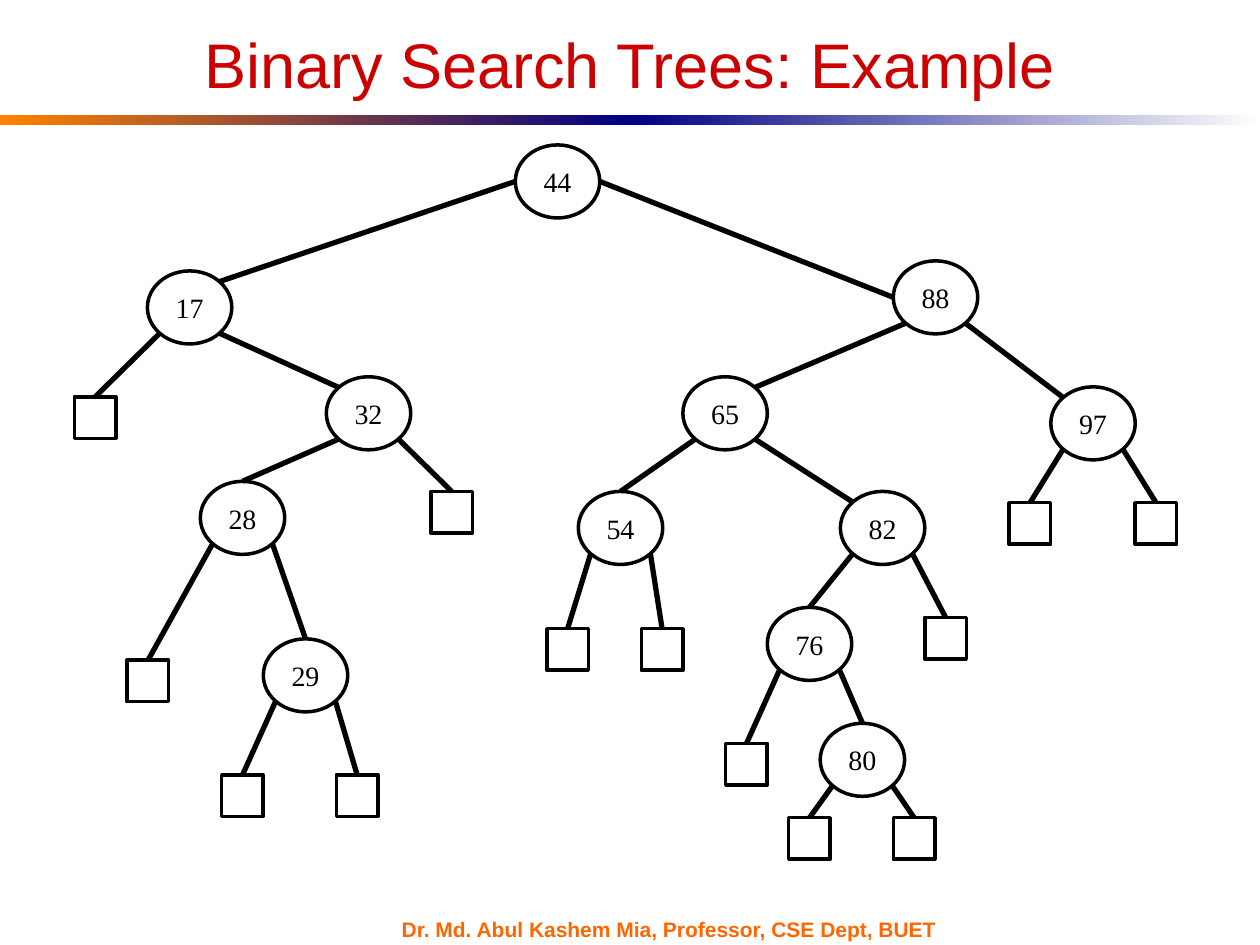
from pptx import Presentation
from pptx.dml.color import RGBColor
from pptx.enum.shapes import MSO_CONNECTOR, MSO_SHAPE
from pptx.enum.text import MSO_ANCHOR, MSO_AUTO_SIZE, PP_ALIGN
from pptx.oxml.ns import qn
from pptx.util import Inches, Pt
from lxml import etree

OVAL, RECT = MSO_SHAPE.OVAL, MSO_SHAPE.RECTANGLE
STRAIGHT = MSO_CONNECTOR.STRAIGHT
MIDDLE, NO_FIT = MSO_ANCHOR.MIDDLE, MSO_AUTO_SIZE.NONE
LEFT, CENTER = PP_ALIGN.LEFT, PP_ALIGN.CENTER

COLORS = {
    "title": "CC0000", "footer": "FF6600", "ink": "000000",
    "paper": "FFFFFF", "orange": "FF8200", "navy": "000082",
}
NODE_W, NODE_H, LEAF = 0.67, 0.58, 0.33
DIAGONAL = 0.5 ** 0.5

# Left and top of each key's node
NODES = {
    44: (4.09, 1.15), 17: (1.17, 2.15), 32: (2.59, 2.99), 28: (1.59, 3.82),
    29: (2.09, 5.07), 88: (7.09, 2.07), 65: (5.42, 2.99), 97: (8.34, 3.07),
    54: (4.59, 3.90), 82: (6.67, 3.90), 76: (6.09, 4.82), 80: (6.51, 5.74),
}
# Parent key, side of the parent, left and top of the empty leaf
LEAVES = [
    (17, "SW", 0.59, 3.15), (32, "SE", 3.42, 3.90), (28, "SW", 1.01, 5.24),
    (29, "SW", 1.76, 6.15), (29, "SE", 2.67, 6.15), (54, "SW", 4.34, 4.99),
    (54, "SE", 5.09, 4.99), (97, "SW", 8.01, 3.99), (97, "SE", 9.01, 3.99),
    (76, "SW", 5.76, 5.90), (82, "SE", 7.34, 4.90), (80, "SW", 6.26, 6.49),
    (80, "SE", 7.09, 6.49),
]
# Parent key, side of the parent, child key, side of the child
BRANCHES = [
    (44, "W", 17, "NE"), (44, "E", 88, "W"), (17, "SE", 32, "NW"),
    (32, "SW", 28, "N"), (28, "SE", 29, "N"), (88, "SW", 65, "NE"),
    (88, "SE", 97, "NW"), (65, "SW", 54, "N"), (65, "SE", 82, "NW"),
    (82, "SW", 76, "N"), (76, "SE", 80, "N"),
]


def color(name):
    return RGBColor.from_string(COLORS[name])


def write(shape, text, size, font, ink, align=CENTER, bold=False, wrap=True):
    frame = shape.text_frame
    frame.auto_size = NO_FIT
    frame.word_wrap = wrap
    frame.vertical_anchor = MIDDLE
    para = frame.paragraphs[0]
    para.alignment = align
    span = para.add_run()
    span.text = text
    span.font.size = Pt(size)
    span.font.name = font
    span.font.bold = bold
    span.font.color.rgb = color(ink)


def add_outlined(page, kind, left, top, width, height):
    shape = page.shapes.add_shape(
        kind, Inches(left), Inches(top), Inches(width), Inches(height))
    shape.shadow.inherit = False
    shape.fill.solid()
    shape.fill.fore_color.rgb = color("paper")
    shape.line.color.rgb = color("ink")
    shape.line.width = Pt(2)
    return shape


def add_band(page, left, start, end):
    band = page.shapes.add_shape(
        RECT, Inches(left), Inches(0.91), Inches(5), Inches(0.08))
    band.shadow.inherit = False
    band.line.fill.background()
    band.fill.gradient()
    band.fill.gradient_angle = 0
    for stop, name in zip(band.fill.gradient_stops, (start, end)):
        stop.color.rgb = color(name)


def add_edge(page, start, end):
    edge = page.shapes.add_connector(
        STRAIGHT, *[Inches(value) for value in (*start, *end)])
    edge.line.color.rgb = color("ink")
    edge.line.width = Pt(3)
    etree.SubElement(edge._element.spPr, qn("a:effectLst"))


def rim_point(key, side):
    """Point on a node's outline in a compass direction."""
    left, top = NODES[key]
    across = ("E" in side) - ("W" in side)
    down = ("S" in side) - ("N" in side)
    reach = DIAGONAL if across and down else 1
    return (left + NODE_W / 2 * (1 + across * reach),
            top + NODE_H / 2 * (1 + down * reach))


def add_tree(page):
    # Keys
    for key, (left, top) in NODES.items():
        node = add_outlined(page, OVAL, left, top, NODE_W, NODE_H)
        write(node, str(key), 16, "Times New Roman", "ink")
    # Branches between keys
    for parent, side, child, entry in BRANCHES:
        add_edge(page, rim_point(parent, side), rim_point(child, entry))
    # Empty leaves
    for parent, side, left, top in LEAVES:
        add_outlined(page, RECT, left, top, LEAF, LEAF)
        add_edge(page, rim_point(parent, side), (left + LEAF / 2, top))


def main():
    deck = Presentation()
    deck.slide_width, deck.slide_height = Inches(10), Inches(7.5)
    page = deck.slides.add_slide(deck.slide_layouts[5])

    # Rule under the title
    add_band(page, 0, "orange", "navy")
    add_band(page, 5, "navy", "paper")

    # Footer
    footer = page.shapes.add_textbox(
        Inches(3.09), Inches(7.28), Inches(4.67), Inches(0.18))
    write(footer, "Dr. Md. Abul Kashem Mia, Professor, CSE Dept, BUET",
          12, "Arial", "footer", LEFT, bold=True, wrap=False)

    # Title
    title = page.shapes.title
    title.left, title.top = Inches(0.5), Inches(0.25)
    title.width, title.height = Inches(9), Inches(0.51)
    write(title, "Binary Search Trees: Example", 36, "Arial", "title")

    add_tree(page)
    deck.save("out.pptx")


main()
